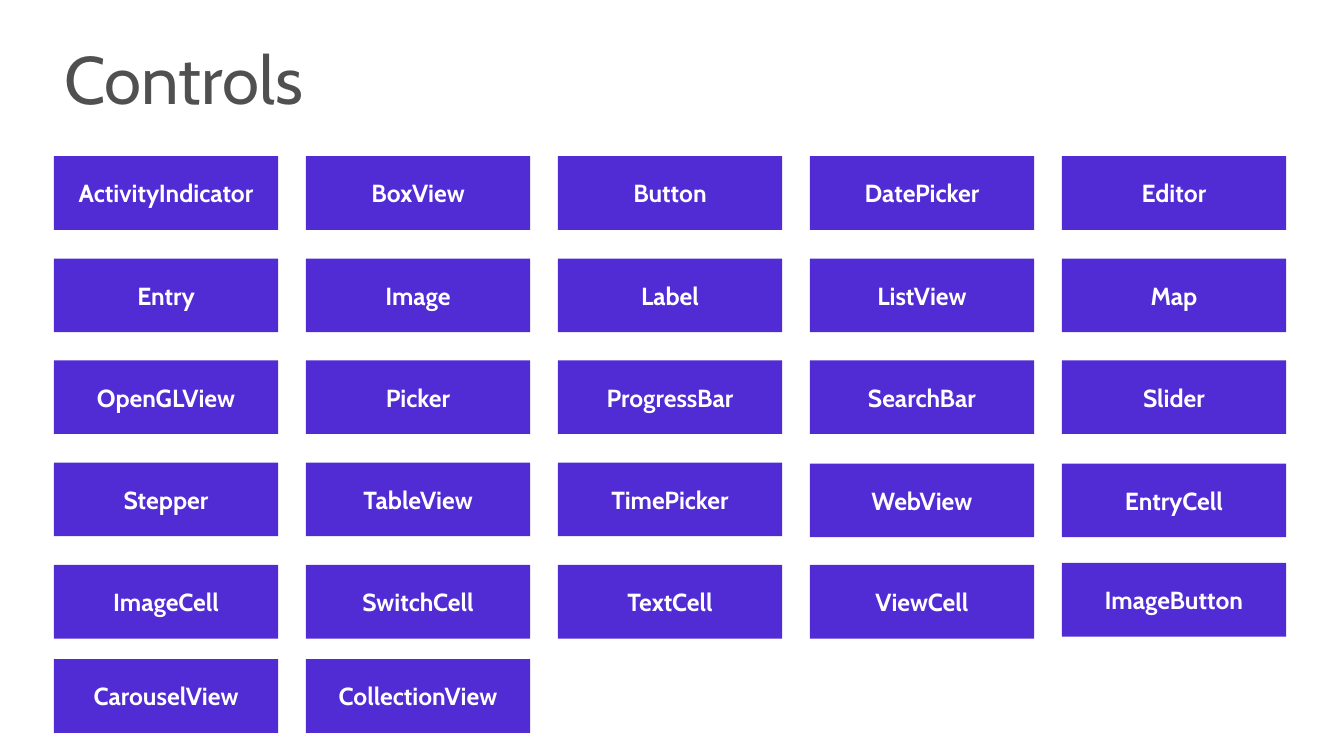
from pptx import Presentation
from pptx.dml.color import RGBColor
from pptx.enum.shapes import MSO_SHAPE
from pptx.enum.text import MSO_ANCHOR, PP_ALIGN
from pptx.util import Inches, Pt

ROUNDED = MSO_SHAPE.ROUNDED_RECTANGLE
MIDDLE = MSO_ANCHOR.MIDDLE
LEFT, CENTER = PP_ALIGN.LEFT, PP_ALIGN.CENTER

TITLE = "Controls"
CONTROL_ROWS = [
    (3.1, ["ActivityIndicator", "BoxView", "Button", "DatePicker", "Editor"]),
    (5.13, ["Entry", "Image", "Label", "ListView", "Map"]),
    (7.15, ["OpenGLView", "Picker", "ProgressBar", "SearchBar", "Slider"]),
    (9.18, ["Stepper", "TableView", "TimePicker", "WebView", "EntryCell"]),
    (11.21, ["ImageCell", "SwitchCell", "TextCell", "ViewCell", "ImageButton"]),
    (13.08, ["CarouselView", "CollectionView"]),
]
NUDGES = {"WebView": 0.02, "EntryCell": 0.02, "ImageButton": -0.04}
COLORS = {"tile": "512BD4", "tile_text": "FFFFFF", "title": "505050"}
FONT = "Cabin"
GRID_LEFT, COLUMN_PITCH = 1.07, 5.0
TILE_WIDTH, TILE_HEIGHT = 4.45, 1.46


def write_text(shape, text, *, size, color, bold=False, align=LEFT, line_spacing=1.0):
    frame = shape.text_frame
    frame.word_wrap = True
    frame.vertical_anchor = MIDDLE
    paragraph = frame.paragraphs[0]
    paragraph.text = text
    paragraph.alignment = align
    paragraph.line_spacing = line_spacing
    font = paragraph.runs[0].font
    font.name = FONT
    font.size = Pt(size)
    font.bold = bold
    font.color.rgb = RGBColor.from_string(COLORS[color])


def add_tile(slide, name, left, top):
    tile = slide.shapes.add_shape(
        ROUNDED, Inches(left), Inches(top), Inches(TILE_WIDTH), Inches(TILE_HEIGHT)
    )
    tile.adjustments[0] = 0
    tile.shadow.inherit = False
    tile.fill.solid()
    tile.fill.fore_color.rgb = RGBColor.from_string(COLORS["tile"])
    tile.line.fill.background()
    write_text(tile, name, size=35.3, color="tile_text", bold=True, align=CENTER)


def main():
    """Build the slide that lists the controls in a grid of tiles."""
    presentation = Presentation()
    presentation.slide_width = Inches(26.67)
    presentation.slide_height = Inches(15)
    slide = presentation.slides.add_slide(presentation.slide_layouts[6])

    title = slide.shapes.add_textbox(Inches(1.18), Inches(0.63), Inches(25.49), Inches(2.03))
    write_text(title, TITLE, size=96, color="title", line_spacing=0.9)

    for top, names in CONTROL_ROWS:
        for column, name in enumerate(names):
            left = GRID_LEFT + column * COLUMN_PITCH
            add_tile(slide, name, left, top + NUDGES.get(name, 0))

    presentation.save("out.pptx")


if __name__ == "__main__":
    main()
